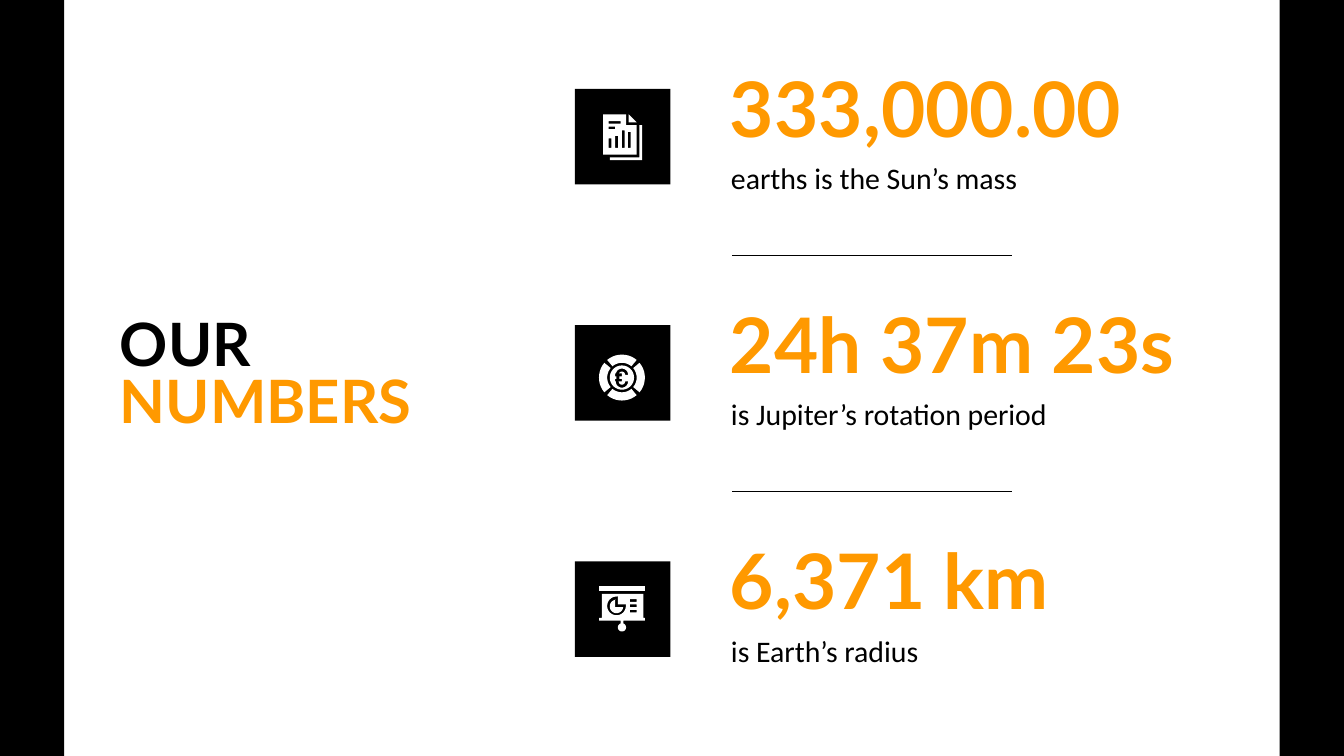
from math import cos, radians, sin

from lxml.etree import SubElement
from pptx import Presentation
from pptx.dml.color import RGBColor
from pptx.enum.shapes import MSO_CONNECTOR, MSO_SHAPE
from pptx.enum.text import MSO_ANCHOR, MSO_AUTO_SIZE, PP_ALIGN
from pptx.oxml.ns import qn
from pptx.util import Pt

BLACK = RGBColor(0x00, 0x00, 0x00)
WHITE = RGBColor(0xFF, 0xFF, 0xFF)
ORANGE = RGBColor(0xFF, 0x99, 0x00)

WIDTH, HEIGHT = 720, 405
TOP, PITCH = 47.6, 126.6
TILE_X, TILE = 308, 51.2
TEXT_X, TEXT_W = 384, 266.4

STATS = [
    ("333,000.00", "earths is the Sun’s mass"),
    ("24h 37m 23s", "is Jupiter’s rotation period"),
    ("6,371 km", "is Earth’s radius"),
]


def box(x, y, w, h):
    return [(x, y), (x + w, y), (x + w, y + h), (x, y + h)]


def arc(x, y, r, start, end):
    """Points on a circle; angles in degrees, clockwise from the right."""
    steps = max(8, int(abs(end - start) / 8))
    turns = [radians(start + (end - start) * i / steps) for i in range(steps + 1)]
    return [(x + r * cos(a), y + r * sin(a)) for a in turns]


def report():
    """Parts of the report icon; each part is a list of outlines and holes."""
    sheet = [(15.1, 13.7), (27.4, 13.7), (27.4, 19.4), (33.1, 19.4),
             (33.1, 35.3), (15.1, 35.3)]
    bars = [box(x, y, 1.5, 31.7 - y)
            for x, y in [(18, 26.6), (21.6, 25.2), (25.2, 22.3), (28.4, 23)]]
    rules = [box(18, 17.3, 6.5, 1.4), box(18, 20.2, 3.6, 1.4)]
    back = [(34.6, 19.4), (36, 19.4), (36, 38.2), (18.7, 38.2),
            (18.7, 36.7), (34.6, 36.7)]
    fold = [(28.8, 13.7), (33.1, 18), (28.8, 18)]
    return [[back], [fold], [sheet] + rules + bars]


def coin():
    """Parts of the coin icon: four ring pieces and a disc with a euro hole."""
    x, y = 25.2, 28.1
    ring = [arc(x, y, 12.3, mid - 40, mid + 40) + arc(x, y, 7.9, mid + 40, mid - 40)
            for mid in range(0, 360, 90)]
    euro = (arc(x, 26.6, 3.3, 0, -168)
            + [(21.6, 25.9), (21.6, 27.4), (22.3, 27.4),
               (22.3, 28.8), (21.6, 28.8), (21.6, 30.2)]
            + arc(x, 30.2, 3.3, 180, 0)
            + arc(x, 30.2, 1.7, 0, 180)
            + [(x, 30.2), (x, 28.8), (23.8, 28.8), (23.8, 27.4), (x, 27.4), (x, 25.9)]
            + arc(x, 26.6, 1.7, -155, 0))
    return [ring, [arc(x, y, 6.5, 0, 360), euro]]


def board():
    """Parts of the presentation board icon."""
    frame = ([(36.7, 17.3), (14.4, 17.3), (14.4, 30.2), (13, 30.2), (13, 31.7),
              (24.5, 31.7)]
             + arc(25.2, 35.3, 2.2, -110, -430)
             + [(25.9, 31.7), (37.4, 31.7), (37.4, 30.2), (36.7, 30.2)])
    rules = [box(29.5, y, 3.6, 1.4) for y in (20.2, 23, 25.9)]
    dial = [(23, 18.7), (23, 23), (27.4, 23)] + arc(22.3, 23.8, 5, 0, 270)
    pie = [(21.6, 20.2), (21.6, 24.5), (25.9, 24.5)] + arc(22.3, 24.1, 3.6, 10, 260)
    return [[box(13, 13, 24.4, 2.9)], [frame, dial] + rules, [pie]]


def paint(shape, color):
    shape.shadow.inherit = False
    shape.fill.solid()
    shape.fill.fore_color.rgb = color
    shape.line.fill.background()


def add_rect(slide, x, y, w, h):
    rect = slide.shapes.add_shape(MSO_SHAPE.RECTANGLE, Pt(x), Pt(y), Pt(w), Pt(h))
    paint(rect, BLACK)


def add_icon(slide, parts, left, top):
    group = slide.shapes.add_group_shape()
    for part in parts:
        loops = [[(Pt(left + x), Pt(top + y)) for x, y in loop] for loop in part]
        pen = group.shapes.build_freeform(*loops[0][0])
        pen.add_line_segments(loops[0][1:])
        for loop in loops[1:]:
            pen.move_to(*loop[0])
            pen.add_line_segments(loop[1:])
        paint(pen.convert_to_shape(), WHITE)


def add_rule(slide, y):
    rule = slide.shapes.add_connector(
        MSO_CONNECTOR.STRAIGHT, Pt(392.4), Pt(y), Pt(542.2), Pt(y))
    rule.line.color.rgb = BLACK
    rule.line.width = Pt(0.75)
    SubElement(rule.element.spPr, qn("a:effectLst"))


def place(shape, x, y, w, h, anchor):
    shape.left, shape.top, shape.width, shape.height = Pt(x), Pt(y), Pt(w), Pt(h)
    frame = shape.text_frame
    frame.word_wrap = True
    frame.auto_size = MSO_AUTO_SIZE.NONE
    frame.vertical_anchor = anchor
    frame.margin_left = frame.margin_right = Pt(7.2)
    frame.margin_top = frame.margin_bottom = Pt(7.2)


def write(shape, texts, font, size, colors, bold, spacing):
    """Fill one left-aligned paragraph with a run for each text and colour."""
    para = shape.text_frame.paragraphs[0]
    props = para._p.get_or_add_pPr()
    props.set("marL", "0")
    props.set("indent", "0")
    SubElement(props, qn("a:buNone"))
    para.alignment = PP_ALIGN.LEFT
    para.space_before = Pt(0)
    para.line_spacing = spacing
    for text, color in zip(texts, colors):
        run = para.add_run()
        run.text = text
        run.font.name = font
        run.font.size = Pt(size)
        run.font.bold = bold
        run.font.color.rgb = color


def add_stat(slide, holder, value, label, top):
    figure = slide.shapes.add_textbox(0, 0, 0, 0)
    place(figure, TEXT_X, top - 5, TEXT_W, 46, MSO_ANCHOR.BOTTOM)
    write(figure, [value], "Lato", 41, [ORANGE], True, 0.8)
    place(holder, TEXT_X + 0.4, top + 30.8, TEXT_W, 31, MSO_ANCHOR.TOP)
    write(holder, [label], "Calibri", 16, [BLACK], False, 1.0)


def main():
    deck = Presentation()
    deck.slide_width, deck.slide_height = Pt(WIDTH), Pt(HEIGHT)
    slide = deck.slides.add_slide(deck.slide_layouts.get_by_name("Comparison"))
    title, *holders = list(slide.placeholders)
    spare = holders.pop()
    spare.element.getparent().remove(spare.element)

    for x in (0, WIDTH - 34.4):
        add_rect(slide, x, 0, 34.4, HEIGHT)

    place(title, 57, 165, 185, 75, MSO_ANCHOR.MIDDLE)
    write(title, ["OUR ", "NUMBERS"], "Lato", 32, [BLACK, ORANGE], True, 0.8)

    icons = [report(), coin(), board()]
    for row, (holder, stat, icon) in enumerate(zip(holders, STATS, icons)):
        top = TOP + row * PITCH
        add_stat(slide, holder, *stat, top)
        add_rect(slide, TILE_X, top, TILE, TILE)
        add_icon(slide, icon, TILE_X, top)
        if row:
            add_rule(slide, top - 37.4)

    deck.save("out.pptx")


if __name__ == "__main__":
    main()
